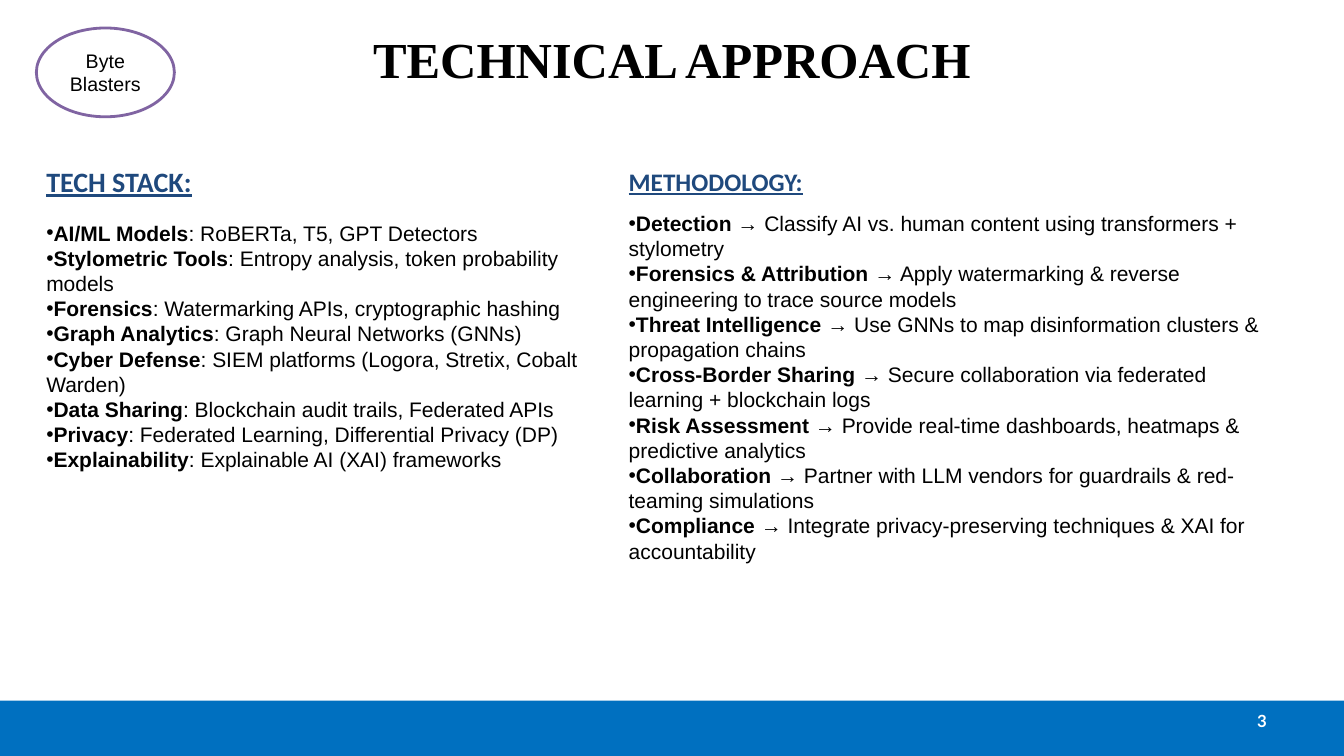
from pptx import Presentation
from pptx.dml.color import RGBColor
from pptx.enum.shapes import MSO_SHAPE
from pptx.enum.text import MSO_ANCHOR, MSO_AUTO_SIZE, PP_ALIGN
from pptx.oxml.ns import qn
from pptx.util import Pt

BLACK = RGBColor(0x00, 0x00, 0x00)
WHITE = RGBColor(0xFF, 0xFF, 0xFF)
NAVY = RGBColor(0x1F, 0x49, 0x7D)
BLUE = RGBColor(0x00, 0x70, 0xC0)
PURPLE = RGBColor(0x80, 0x64, 0xA2)

LEFT_X, RIGHT_X = 26, 442
BAR_TOP = 500.4

TECH_STACK = [
    ("AI/ML Models", "RoBERTa, T5, GPT Detectors"),
    ("Stylometric Tools", "Entropy analysis, token probability models"),
    ("Forensics", "Watermarking APIs, cryptographic hashing"),
    ("Graph Analytics", "Graph Neural Networks (GNNs)"),
    ("Cyber Defense", "SIEM platforms (Logora, Stretix, Cobalt Warden)"),
    ("Data Sharing", "Blockchain audit trails, Federated APIs"),
    ("Privacy", "Federated Learning, Differential Privacy (DP)"),
    ("Explainability", "Explainable AI (XAI) frameworks"),
]
METHODOLOGY = [
    ("Detection", "Classify AI vs. human content using transformers + stylometry"),
    ("Forensics & Attribution",
     "Apply watermarking & reverse engineering to trace source models"),
    ("Threat Intelligence",
     "Use GNNs to map disinformation clusters & propagation chains"),
    ("Cross-Border Sharing",
     "Secure collaboration via federated learning + blockchain logs"),
    ("Risk Assessment",
     "Provide real-time dashboards, heatmaps & predictive analytics"),
    ("Collaboration",
     "Partner with LLM vendors for guardrails & red-teaming simulations"),
    ("Compliance",
     "Integrate privacy-preserving techniques & XAI for accountability"),
]


def add_run(p, text, size, font, color=BLACK, bold=False, underline=False):
    r = p.add_run()
    r.text = text
    r.font.size = Pt(size)
    r.font.name = font
    r.font.color.rgb = color
    r.font.bold = bold
    r.font.underline = underline


def add_shape(s, kind, x, y, w, h, fill, line=None):
    sp = s.shapes.add_shape(kind, Pt(x), Pt(y), Pt(w), Pt(h))
    sp.shadow.inherit = False
    sp.fill.solid()
    sp.fill.fore_color.rgb = fill
    if line is None:
        sp.line.fill.background()
    else:
        sp.line.color.rgb = line
        sp.line.width = Pt(2)
    return sp


def add_box(s, x, y, w, h, anchor=MSO_ANCHOR.MIDDLE, wrap=True):
    tf = s.shapes.add_textbox(Pt(x), Pt(y), Pt(w), Pt(h)).text_frame
    tf.word_wrap = wrap
    tf.vertical_anchor = anchor
    return tf


def add_line(tf, text, align, *style, **flags):
    p = tf.paragraphs[0]
    p.alignment = align
    add_run(p, text, *style, **flags)


def add_heading(s, text, x, y, w, h, size, wrap=True):
    tf = add_box(s, x, y, w, h, MSO_ANCHOR.TOP, wrap)
    tf.auto_size = MSO_AUTO_SIZE.SHAPE_TO_FIT_TEXT
    add_line(tf, text, PP_ALIGN.LEFT, size, "Calibri", NAVY,
             bold=True, underline=True)


def add_bullets(s, items, separator, x, y, w, h):
    """Bulleted list with a bold term, a separator and a description."""
    tf = add_box(s, x, y, w, h)
    tf.auto_size = MSO_AUTO_SIZE.SHAPE_TO_FIT_TEXT
    for i, (term, description) in enumerate(items):
        p = tf.add_paragraph() if i else tf.paragraphs[0]
        pPr = p._p.get_or_add_pPr()
        bullet_font = pPr.makeelement(qn("a:buFont"), {"typeface": "Arial"})
        bullet = pPr.makeelement(qn("a:buChar"), {"char": "•"})
        pPr.extend([bullet_font, bullet])
        add_run(p, term, 15, "Arial", bold=True)
        add_run(p, separator + description, 15, "Arial")


def main():
    prs = Presentation()
    prs.slide_width, prs.slide_height = Pt(960), Pt(540)
    s = prs.slides.add_slide(prs.slide_layouts[6])

    add_shape(s, MSO_SHAPE.RECTANGLE, 0, BAR_TOP, 960, 540 - BAR_TOP, BLUE)
    title = add_box(s, 48, -3.6, 864, 90)
    add_line(title, "TECHNICAL APPROACH", PP_ALIGN.CENTER,
             36, "Times New Roman", bold=True)
    number = add_box(s, 688, BAR_TOP, 224, 28.8)
    add_line(number, "3", PP_ALIGN.RIGHT, 12, "Lato", WHITE, bold=True)

    team = add_shape(s, MSO_SHAPE.OVAL, LEFT_X, 20, 98.6, 63.4, WHITE, PURPLE)
    team.text_frame.vertical_anchor = MSO_ANCHOR.MIDDLE
    add_line(team.text_frame, "Byte Blasters", PP_ALIGN.CENTER, 14, "Arial")

    add_heading(s, "TECH STACK:", LEFT_X, 114, 119.5, 31.5, 20, wrap=False)
    add_heading(s, "METHODOLOGY:", RIGHT_X, 115, 165, 29, 18)
    add_bullets(s, TECH_STACK, ": ", LEFT_X, 152.6, 416, 189.4)
    add_bullets(s, METHODOLOGY, " → ", RIGHT_X, 145.4, 474, 262)

    prs.save("out.pptx")


if __name__ == "__main__":
    main()
